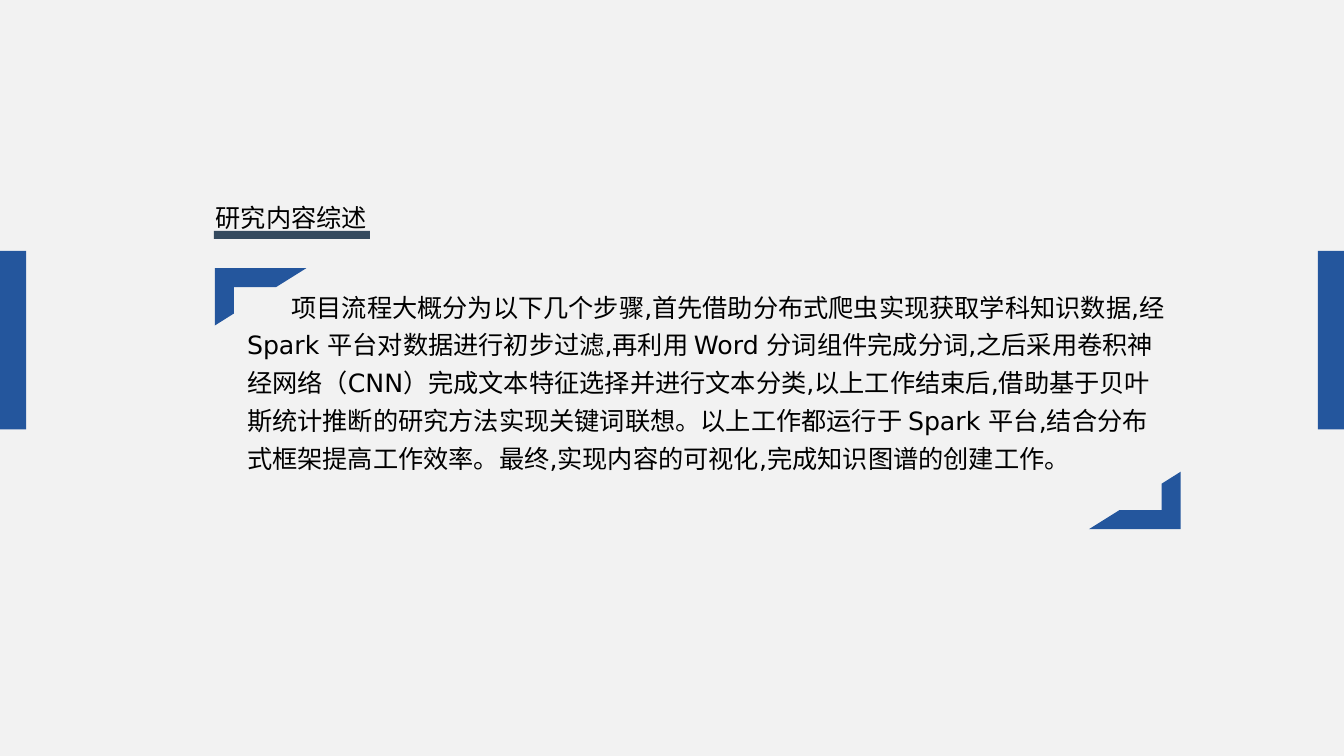
from dataclasses import dataclass

from lxml import etree
from pptx import Presentation
from pptx.dml.color import RGBColor
from pptx.enum.shapes import MSO_SHAPE
from pptx.enum.text import MSO_ANCHOR, MSO_AUTO_SIZE, PP_ALIGN
from pptx.oxml.ns import qn
from pptx.util import Inches, Pt

RECTANGLE = MSO_SHAPE.RECTANGLE
HALF_FRAME = MSO_SHAPE.HALF_FRAME
TOP = MSO_ANCHOR.TOP
LEFT = PP_ALIGN.LEFT
NO_AUTOFIT = MSO_AUTO_SIZE.NONE

HEADING = "研究内容综述"
SUMMARY = (
    "项目流程大概分为以下几个步骤,首先借助分布式爬虫实现获取学科知识数据,"
    "经 Spark 平台对数据进行初步过滤,再利用 Word 分词组件完成分词,"
    "之后采用卷积神经网络（CNN）完成文本特征选择并进行文本分类,以上工作结束后,"
    "借助基于贝叶斯统计推断的研究方法实现关键词联想。以上工作都运行于 Spark 平台,"
    "结合分布式框架提高工作效率。最终,实现内容的可视化,完成知识图谱的创建工作。"
)


@dataclass(frozen=True)
class Theme:
    background: RGBColor = RGBColor(0xF2, 0xF2, 0xF2)
    accent: RGBColor = RGBColor(0x24, 0x56, 0x9D)
    underline: RGBColor = RGBColor(0x34, 0x49, 0x5E)
    text: RGBColor = RGBColor(0, 0, 0)
    heading_font: str = "Arial"
    summary_font: str = "DejaVu Sans"
    size: Pt = Pt(18)
    line_spacing: float = 1.25


THEME = Theme()
SLIDE_W, SLIDE_H = 13.33, 7.5
BAR_W, BAR_H, BAR_TOP = 0.26, 1.77, 2.49
CORNER_W, CORNER_H = 0.91, 0.57
FRAME_LEFT, FRAME_TOP, FRAME_RIGHT, FRAME_BOTTOM = 2.13, 2.66, 11.71, 5.25


def add_block(slide, kind, box, color):
    block = slide.shapes.add_shape(kind, *map(Inches, box))
    block.shadow.inherit = False
    block.fill.solid()
    block.fill.fore_color.rgb = color
    block.line.fill.background()
    return block


def fill_placeholder(placeholder, box, margins, wording, font_name, indent=0):
    placeholder.left, placeholder.top, placeholder.width, placeholder.height = map(Inches, box)
    frame = placeholder.text_frame
    frame.word_wrap = True
    frame.auto_size = NO_AUTOFIT
    frame.vertical_anchor = TOP
    frame.margin_left = frame.margin_right = Inches(margins[0])
    frame.margin_top = frame.margin_bottom = Inches(margins[1])
    paragraph = frame.paragraphs[0]
    properties = paragraph._p.get_or_add_pPr()
    properties.set("marL", "0")
    properties.set("indent", str(Inches(indent)))
    etree.SubElement(properties, qn("a:buNone"))
    paragraph.alignment = LEFT
    paragraph.line_spacing = THEME.line_spacing
    paragraph.space_before = Pt(0)
    run = paragraph.add_run()
    run.text = wording
    run.font.name = font_name
    run.font.size = THEME.size
    run.font.color.rgb = THEME.text


def main():
    deck = Presentation()
    deck.slide_width, deck.slide_height = Inches(SLIDE_W), Inches(SLIDE_H)
    slide = deck.slides.add_slide(deck.slide_layouts[1])
    slide.background.fill.solid()
    slide.background.fill.fore_color.rgb = THEME.background

    for bar_left in (0, SLIDE_W - BAR_W):
        add_block(slide, RECTANGLE, (bar_left, BAR_TOP, BAR_W, BAR_H), THEME.accent)

    heading, summary = slide.placeholders
    fill_placeholder(heading, (2.07, 1.89, 2.88, 0.44), (0.07, 0.04),
                     HEADING, THEME.heading_font)
    fill_placeholder(summary, (2.35, 2.77, 9.34, 2.73), (0.1, 0.05),
                     SUMMARY, THEME.summary_font, indent=0.44)

    corners = (
        (FRAME_LEFT, FRAME_TOP, 0),
        (FRAME_RIGHT - CORNER_W, FRAME_BOTTOM - CORNER_H, 180),
    )
    for left, top, rotation in corners:
        corner = add_block(slide, HALF_FRAME, (left, top, CORNER_W, CORNER_H), THEME.accent)
        corner.rotation = rotation

    add_block(slide, RECTANGLE, (2.12, 2.29, 1.55, 0.08), THEME.underline)
    deck.save("out.pptx")


if __name__ == "__main__":
    main()
